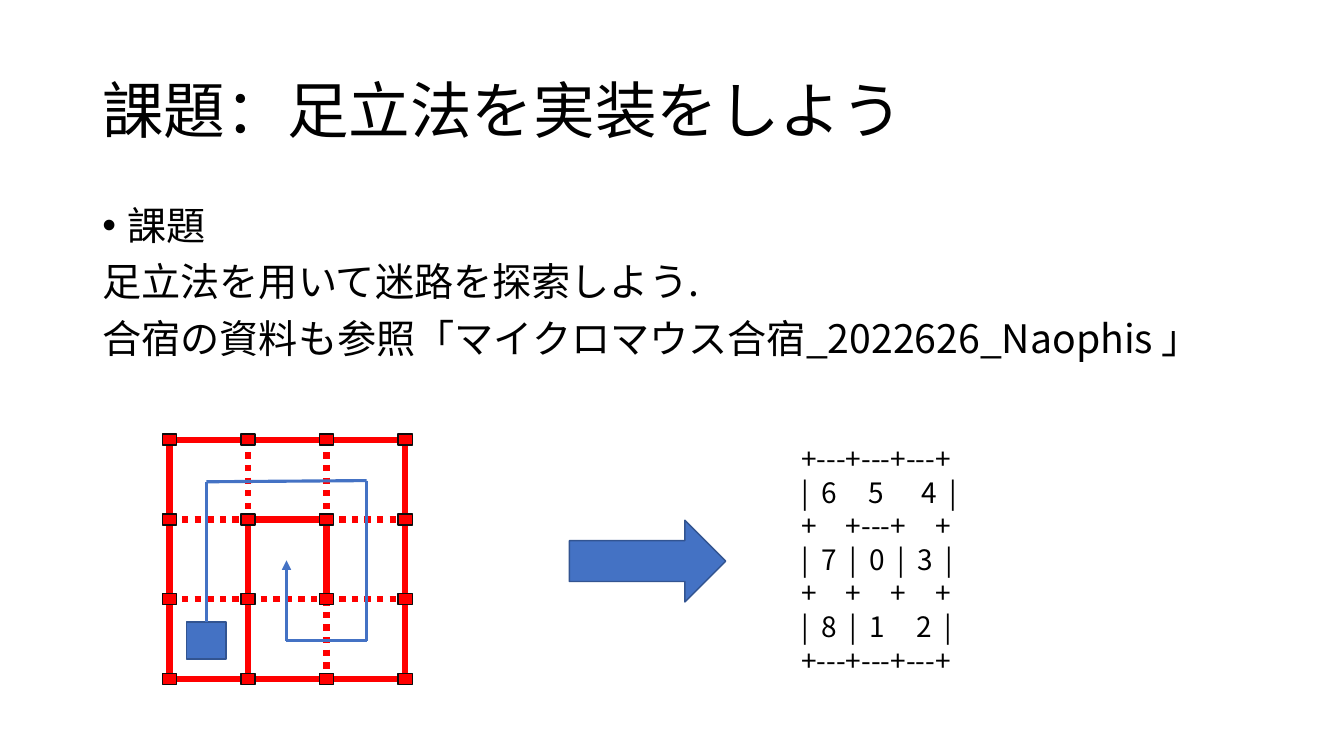
from lxml import etree
from pptx import Presentation
from pptx.dml.color import RGBColor
from pptx.enum.dml import MSO_LINE
from pptx.enum.shapes import MSO_CONNECTOR, MSO_SHAPE
from pptx.enum.text import MSO_ANCHOR, MSO_AUTO_SIZE
from pptx.oxml.ns import qn
from pptx.util import Cm, Pt

STRAIGHT = MSO_CONNECTOR.STRAIGHT
RECTANGLE = MSO_SHAPE.RECTANGLE
RIGHT_ARROW = MSO_SHAPE.RIGHT_ARROW
DOTTED = MSO_LINE.ROUND_DOT
TOP, MIDDLE = MSO_ANCHOR.TOP, MSO_ANCHOR.MIDDLE
FIXED, GROW = MSO_AUTO_SIZE.NONE, MSO_AUTO_SIZE.SHAPE_TO_FIT_TEXT
FONT = "Noto Sans CJK JP"
RED, BLUE, DARK_BLUE, BLACK, POST_EDGE = "FF0000", "4472C4", "325491", "000000", "0D0D0D"

deck = Presentation()
deck.slide_width, deck.slide_height = Cm(33.87), Cm(19.05)
page = deck.slides.add_slide(deck.slide_layouts[6])


def add_solid(preset, left, top, width, height, fill, edge):
    shape = page.shapes.add_shape(preset, Cm(left), Cm(top), Cm(width), Cm(height))
    shape.shadow.inherit = False
    shape.fill.solid()
    shape.fill.fore_color.rgb = RGBColor.from_string(fill)
    shape.line.color.rgb = RGBColor.from_string(edge)
    shape.line.width = Pt(1)
    return shape


def add_line(start, end, color, width):
    line = page.shapes.add_connector(STRAIGHT, *(Cm(value) for value in start + end))
    line.line.color.rgb = RGBColor.from_string(color)
    line.line.width = Pt(width)
    etree.SubElement(line._element.spPr, qn("a:effectLst"))
    return line


# Text: place, size, line spacing, space before, anchor, sizing, lines
TEXTS = [
    ((2.33, 1.02, 29.21, 3.68), 44, 0.9, 0, MIDDLE, FIXED, ["課題：足立法を実装をしよう"]),
    ((2.33, 5.08, 29.21, 12.09), 28, 0.9, 10, TOP, FIXED, [
        "• 課題",
        "足立法を用いて迷路を探索しよう.",
        "合宿の資料も参照「マイクロマウス合宿_2022626_Naophis 」",
    ]),
    ((19.94, 11, 6.43, 6.25), 20, 1, 0, TOP, GROW, [
        "+---+---+---+",
        "|  6     5      4  |",
        "+\t+---+\t+",
        "|  7  |  0  |  3  |",
        "+\t+\t+\t+",
        "|  8  |  1     2  |",
        "+---+---+---+",
    ]),
]
MAZE_TAB = 1.13

for place, size, spacing, gap, anchor, sizing, lines in TEXTS:
    box = page.shapes.add_textbox(*(Cm(value) for value in place))
    frame = box.text_frame
    frame.word_wrap = True
    frame.auto_size = sizing
    frame.vertical_anchor = anchor
    for index, text in enumerate(lines):
        para = frame.paragraphs[0] if index == 0 else frame.add_paragraph()
        properties = para._p.get_or_add_pPr()
        if text.startswith("• "):
            text = text[2:]
            properties.set("marL", str(Cm(0.63)))
            properties.set("indent", str(-Cm(0.63)))
            etree.SubElement(properties, qn("a:buFont"), typeface="Arial")
            etree.SubElement(properties, qn("a:buChar"), char="•")
        if "\t" in text:
            tabs = etree.SubElement(properties, qn("a:tabLst"))
            for column in range(1, 4):
                etree.SubElement(tabs, qn("a:tab"), pos=str(Cm(MAZE_TAB * column)), algn="l")
        para.line_spacing = spacing
        para.space_before = Pt(gap if index else 0)
        span = para.add_run()
        span.text = text
        span.font.size = Pt(size)
        span.font.name = FONT
        span.font.color.rgb = RGBColor.from_string(BLACK)
        etree.SubElement(span._r.get_or_add_rPr(), qn("a:ea"), typeface=FONT)

# Maze: "#" is a wall, "." an open side
HORIZONTAL = ["###", ".#.", "...", "###"]
VERTICAL = ["#..#", "####", "##.#"]
POST_WIDTH, POST_HEIGHT = 0.36, 0.28
columns = [4.27 + 1.98 * column for column in range(4)]
rows = [11.08 + 2.01 * row for row in range(4)]

for sides, across, down in ((HORIZONTAL, 1, 0), (VERTICAL, 0, 1)):
    for row, marks in enumerate(sides):
        for column, mark in enumerate(marks):
            start = (columns[column], rows[row])
            end = (columns[column + across], rows[row + down])
            wall = add_line(start, end, RED, 4.5)
            if mark == ".":
                wall.line.dash_style = DOTTED

for y in rows:
    for x in columns:
        add_solid(RECTANGLE, x - POST_WIDTH / 2, y - POST_HEIGHT / 2,
                  POST_WIDTH, POST_HEIGHT, RED, POST_EDGE)

# Route of the mouse to the goal
mouse = add_solid(RECTANGLE, 4.7, 15.67, 1, 0.94, BLUE, DARK_BLUE)
ROUTE = [(5.2, 15.67), (5.2, 12.14), (9.24, 12.11), (9.24, 16.14), (7.22, 16.14), (7.22, 14.12)]
legs = [add_line(start, end, BLUE, 2.25) for start, end in zip(ROUTE, ROUTE[1:])]
legs[0].begin_connect(mouse, 0)
etree.SubElement(legs[-1].line._get_or_add_ln(), qn("a:tailEnd"), type="triangle")

add_solid(RIGHT_ARROW, 14.35, 13.11, 3.94, 2.06, BLUE, DARK_BLUE)

deck.save("out.pptx")
